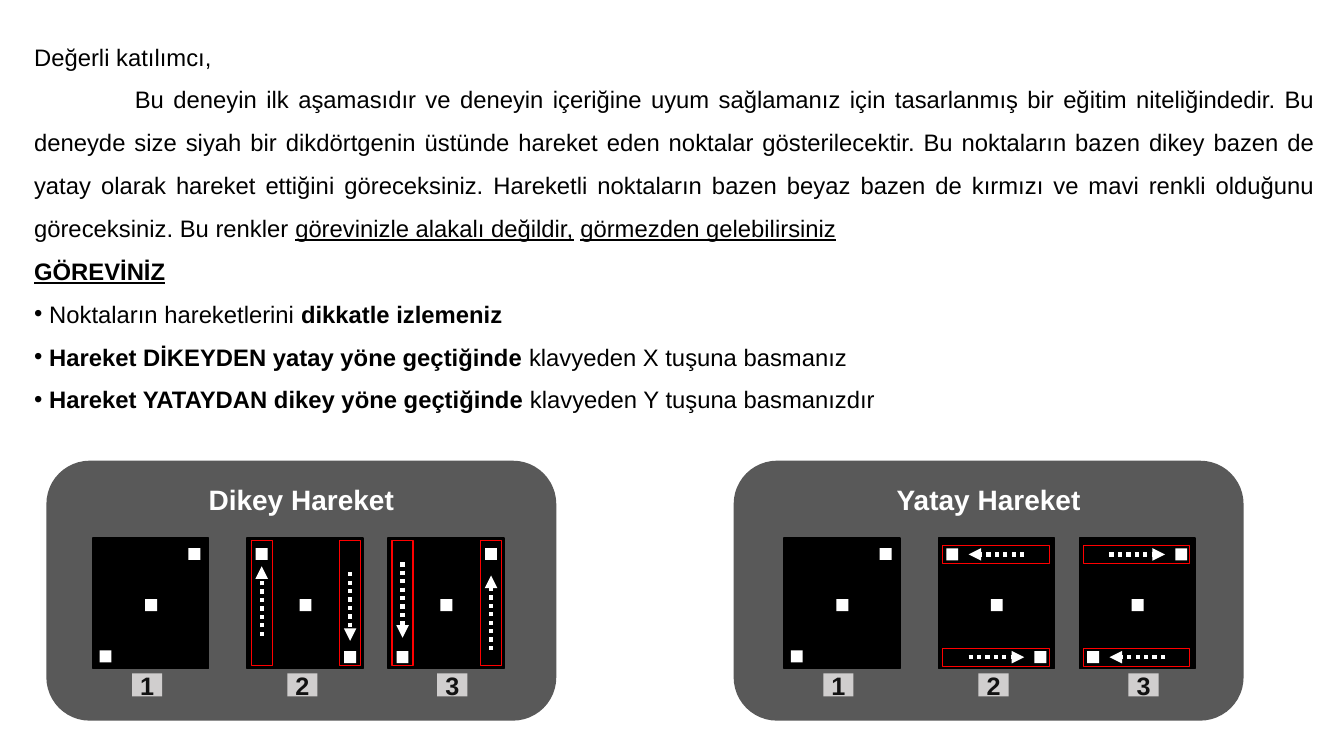
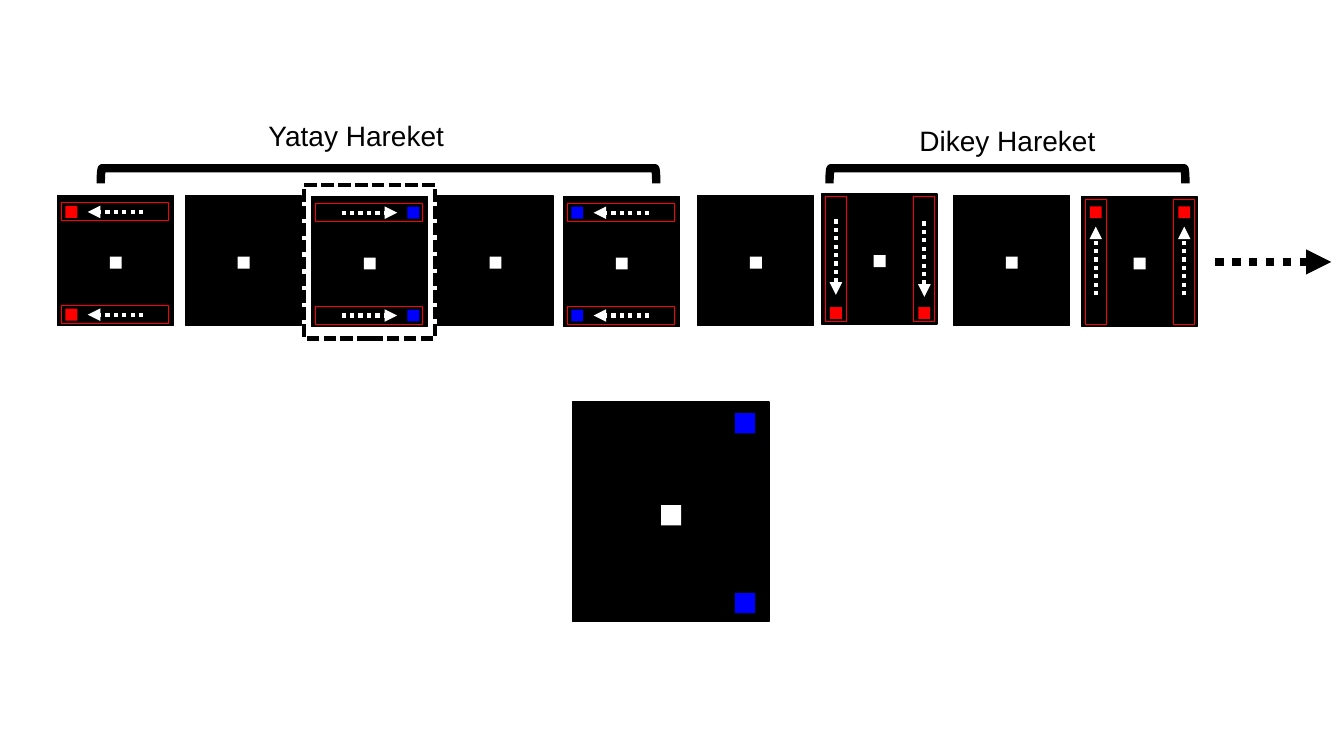
"""Build two slides that explain a motion-perception experiment."""
from lxml.etree import SubElement
from pptx import Presentation
from pptx.dml.color import RGBColor
from pptx.enum.dml import MSO_LINE
from pptx.enum.shapes import MSO_CONNECTOR, MSO_SHAPE
from pptx.enum.text import MSO_ANCHOR, PP_ALIGN
from pptx.oxml.ns import qn
from pptx.util import Cm, Pt

FONT = "Arial"
COLOURS = {
    "black": "000000", "white": "FFFFFF", "red": "FF0000", "blue": "0000FF",
    "panel": "595959", "label": "D0CECE", "ink": "121212",
}
TILE_WIDTH, TILE_HEIGHT, DOT = 2.92, 3.28, 0.3
LANES = {
    "top": (0.1, 0.18, 2.69, 0.46),
    "bottom": (0.1, 2.77, 2.69, 0.46),
    "left": (0.1, 0.07, 0.53, 3.15),
    "right": (2.33, 0.07, 0.53, 3.15),
}
LEFTWARD, RIGHTWARD = (2.16, 0.76), (0.76, 2.16)


def add_box(page, place, fill=None, line=None, width=1, text="", size=18,
            ink="black", bold=False, preset=MSO_SHAPE.RECTANGLE):
    """Add a preset shape; place is left, top, width, height in cm."""
    box = page.shapes.add_shape(preset, *[Cm(value) for value in place])
    box.shadow.inherit = False
    if fill:
        box.fill.solid()
        box.fill.fore_color.rgb = RGBColor.from_string(COLOURS[fill])
    else:
        box.fill.background()
    if line:
        box.line.color.rgb = RGBColor.from_string(COLOURS[line])
        box.line.width = Pt(width)
    else:
        box.line.fill.background()
    if text:
        frame = box.text_frame
        frame.text = text
        frame.word_wrap = True
        frame.vertical_anchor = MSO_ANCHOR.MIDDLE
        frame.margin_left = frame.margin_right = 0
        frame.margin_top = frame.margin_bottom = 0
        para = frame.paragraphs[0]
        para.alignment = PP_ALIGN.CENTER
        font = para.runs[0].font
        font.name, font.size, font.bold = FONT, Pt(size), bold
        font.color.rgb = RGBColor.from_string(COLOURS[ink])
    return box


def add_arrow(page, ends, colour, width):
    """Add a dotted arrow; ends is x and y of start and tip in cm."""
    arrow = page.shapes.add_connector(
        MSO_CONNECTOR.STRAIGHT, *[Cm(value) for value in ends])
    arrow.line.color.rgb = RGBColor.from_string(COLOURS[colour])
    arrow.line.width = Pt(width)
    arrow.line.dash_style = MSO_LINE.ROUND_DOT
    SubElement(arrow.line._get_or_add_ln(), qn("a:tailEnd"), type="triangle")
    SubElement(arrow._element.spPr, qn("a:effectLst"))


deck = Presentation()
deck.slide_width, deck.slide_height = Cm(33.87), Cm(19.05)
blank = deck.slide_layouts[6]
intro = deck.slides.add_slide(blank)
sequence = deck.slides.add_slide(blank)

paragraphs = [
    ("plain", [("Değerli katılımcı,", "")]),
    ("indented", [
        ("Bu deneyin ilk aşamasıdır ve deneyin içeriğine uyum sağlamanız için "
         "tasarlanmış bir eğitim niteliğindedir. Bu deneyde size siyah bir "
         "dikdörtgenin üstünde hareket eden noktalar gösterilecektir. Bu "
         "noktaların bazen dikey bazen de yatay olarak hareket ettiğini "
         "göreceksiniz. Hareketli noktaların bazen beyaz bazen de kırmızı ve "
         "mavi renkli olduğunu göreceksiniz. Bu renkler ", ""),
        ("görevinizle alakalı değildir,", "u"),
        (" ", ""),
        ("görmezden gelebilirsiniz", "u"),
    ]),
    ("plain", [("GÖREVİNİZ", "bu")]),
    ("bullet", [("Noktaların hareketlerini ", ""), ("dikkatle izlemeniz", "b")]),
    ("bullet", [("Hareket DİKEYDEN yatay yöne geçtiğinde ", "b"),
                ("klavyeden X tuşuna basmanız", "")]),
    ("bullet", [("Hareket YATAYDAN dikey yöne geçtiğinde ", "b"),
                ("klavyeden Y tuşuna basmanızdır", "")]),
]
instructions = intro.shapes.add_textbox(Cm(0.61), Cm(0.58), Cm(32.79), Cm(10.26))
frame = instructions.text_frame
frame.word_wrap = True
for number, (kind, spans) in enumerate(paragraphs):
    para = frame.add_paragraph() if number else frame.paragraphs[0]
    para.alignment = PP_ALIGN.JUSTIFY
    para.line_spacing = 1.5
    properties = para._p.get_or_add_pPr()
    if kind == "indented":
        properties.set("indent", str(Cm(2.54)))
    if kind == "bullet":
        properties.set("marL", str(Cm(0.38)))
        properties.set("indent", str(-Cm(0.38)))
        SubElement(properties, qn("a:buFont"), typeface=FONT)
        SubElement(properties, qn("a:buChar"), char="•")
    for text, style in spans:
        span = para.add_run()
        span.text = text
        span.font.name, span.font.size = FONT, Pt(17)
        span.font.bold, span.font.underline = "b" in style, "u" in style
        span.font.color.rgb = RGBColor.from_string(COLOURS["black"])

panels = [
    ("Dikey Hareket", 1.17, 2.34, [
        [],
        [("left", (2.46, 0.71), "white"), ("right", (0.86, 2.59), "white")],
        [("left", (0.61, 2.51), "white"), ("right", (2.82, 0.94), "white")],
    ]),
    ("Yatay Hareket", 18.49, 19.76, [
        [],
        [("top", LEFTWARD, "white"), ("bottom", RIGHTWARD, "white")],
        [("top", RIGHTWARD, "white"), ("bottom", LEFTWARD, "white")],
    ]),
]
tiles = []
for title, panel_left, first_left, steps in panels:
    add_box(intro, (panel_left, 11.61, 12.85, 6.55), "panel",
            preset=MSO_SHAPE.ROUNDED_RECTANGLE)
    add_box(intro, (panel_left + 2.92, 11.96, 7.01, 1.24), "panel",
            text=title, size=20, ink="white", bold=True)
    offsets = zip((0, 3.89, 7.44), (0.99, 4.9, 8.68), steps)
    for number, (tile_offset, label_offset, tracks) in enumerate(offsets, 1):
        tiles.append((intro, first_left + tile_offset, 13.56, tracks))
        add_box(intro, (first_left + label_offset, 16.97, 0.76, 0.58), "label",
                text=str(number), ink="ink", bold=True)

tiles += [
    (sequence, 1.45, 4.93, [("top", LEFTWARD, "red"), ("bottom", LEFTWARD, "red")]),
    (sequence, 4.67, 4.93, []),
    (sequence, 7.85, 4.95, [("top", RIGHTWARD, "blue"), ("bottom", RIGHTWARD, "blue")]),
    (sequence, 11.02, 4.93, []),
    (sequence, 14.2, 4.95, [("top", LEFTWARD, "blue"), ("bottom", LEFTWARD, "blue")]),
    (sequence, 17.58, 4.93, []),
    (sequence, 20.7, 4.89, [("left", (0.64, 2.54), "red"), ("right", (0.69, 2.59), "red")]),
    (sequence, 24.03, 4.93, []),
    (sequence, 27.25, 4.95, [("left", (2.49, 0.76), "red"), ("right", (2.49, 0.76), "red")]),
]
for page, left, top, tracks in tiles:
    add_box(page, (left, top, TILE_WIDTH, TILE_HEIGHT), "black", "black")
    add_box(page, (left + 1.32, top + 1.54, DOT, DOT), "white")
    for side, (start, tip), colour in tracks:
        x, y, width, height = LANES[side]
        middle_x, middle_y = left + x + width / 2, top + y + height / 2
        forward = tip > start
        if side in ("top", "bottom"):
            ends = (left + start, middle_y, left + tip, middle_y)
            dot_at = (left + (2.42 if forward else 0.2), middle_y - DOT / 2)
        else:
            ends = (middle_x, top + start, middle_x, top + tip)
            dot_at = (middle_x - DOT / 2, top + (2.85 if forward else 0.25))
        add_box(page, (*dot_at, DOT, DOT), colour)
        add_box(page, (left + x, top + y, width, height), line="red", width=0.75)
        add_arrow(page, ends, "white", 3)

for title, panel_left, first_left, steps in panels:
    for x, y in ((0.17, 2.83), (2.41, 0.25)):
        add_box(intro, (first_left + x, 13.56 + y, DOT, DOT), "white")

headings = [
    ("Yatay Hareket", 5.87, 2.97, 9.54, 14),
    ("Dikey Hareket", 22.28, 3.1, 25.39, 8.97),
]
for title, left, top, centre, length in headings:
    add_box(sequence, (left, top, 6.22, 0.89), text=title, size=20)
    bracket = add_box(sequence, (centre - 0.19, 4.43 - length / 2, 0.38, length),
                      line="black", width=6, preset=MSO_SHAPE.RIGHT_BRACKET)
    bracket.rotation = 270

highlight = add_box(sequence, (7.67, 4.67, 3.3, 3.86), line="black", width=3)
highlight.line.dash_style = MSO_LINE.SQUARE_DOT
add_arrow(sequence, (30.63, 6.6, 33.55, 6.6), "black", 6)

add_box(sequence, (14.43, 10.13, 4.95, 5.54), "black", "black")
for x, y, colour in ((16.66, 12.73, "white"), (18.52, 10.41, "blue"),
                     (18.52, 14.94, "blue")):
    add_box(sequence, (x, y, 0.51, 0.51), colour)

deck.save("out.pptx")
